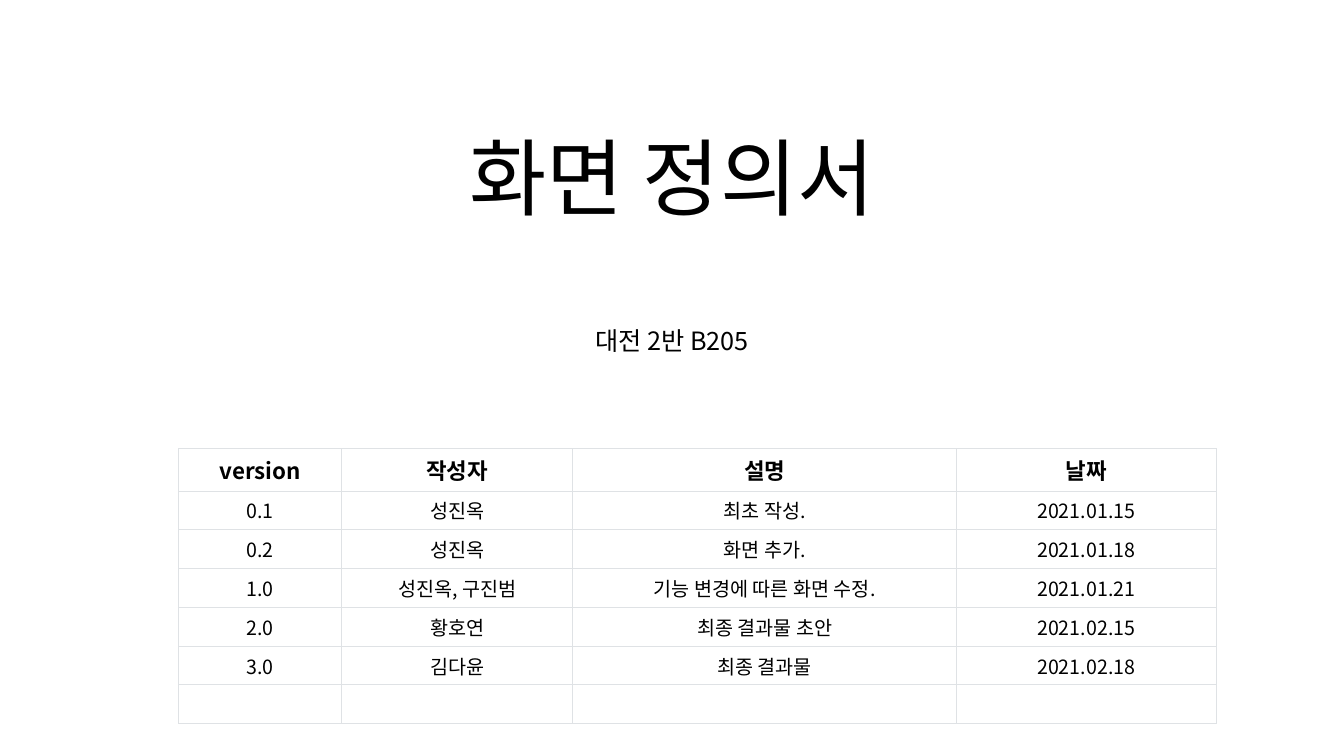
from dataclasses import dataclass

from lxml import etree
from pptx import Presentation
from pptx.dml.color import RGBColor
from pptx.enum.text import MSO_ANCHOR, MSO_AUTO_SIZE, PP_ALIGN
from pptx.oxml.ns import qn
from pptx.util import Inches, Pt

CENTER = PP_ALIGN.CENTER
BOTTOM, MIDDLE = MSO_ANCHOR.BOTTOM, MSO_ANCHOR.MIDDLE
NO_AUTOFIT = MSO_AUTO_SIZE.NONE

TITLE = "화면 정의서"
TEAM = "대전 2반 B205"
HISTORY = [
    ("version", "작성자", "설명", "날짜"),
    ("0.1", "성진옥", "최초 작성.", "2021.01.15"),
    ("0.2", "성진옥", "화면 추가.", "2021.01.18"),
    ("1.0", "성진옥, 구진범", "기능 변경에 따른 화면 수정.", "2021.01.21"),
    ("2.0", "황호연", "최종 결과물 초안", "2021.02.15"),
    ("3.0", "김다윤", "최종 결과물", "2021.02.18"),
    ("", "", "", ""),
]


@dataclass(frozen=True)
class Theme:
    font: str = "Noto Sans CJK KR"
    ink: str = "000000"
    paper: str = "FFFFFF"
    rule: str = "DFE2E5"
    rule_width: float = 0.6
    title_size: int = 60
    team_size: int = 18
    header_size: int = 16
    body_size: int = 14


THEME = Theme()
SLIDE_WIDTH, SLIDE_HEIGHT = 13.33, 7.5
HEADING_WIDTH, HEADING_HEIGHT = 10, 1.08
TITLE_TOP, TEAM_TOP = 1.23, 2.5
TABLE_LEFT, TABLE_TOP = 1.77, 4.45
COLUMN_WIDTHS = (1.62, 2.29, 3.81, 2.57)
HEADER_HEIGHT, ROW_HEIGHT = 0.42, 0.385


def style_paragraph(para, size, bold=False):
    para.alignment = CENTER
    font = para.font
    font.name, font.size, font.bold = THEME.font, Pt(size), bold
    font.color.rgb = RGBColor.from_string(THEME.ink)
    # Hangul takes the East Asian typeface, which follows the Latin one
    latin = para._p.pPr.find(qn("a:defRPr")).find(qn("a:latin"))
    east_asian = etree.Element(qn("a:ea"), typeface=THEME.font)
    latin.addnext(east_asian)


def place_heading(box, text, top, size):
    box.left = Inches((SLIDE_WIDTH - HEADING_WIDTH) / 2)
    box.top = Inches(top)
    box.width, box.height = Inches(HEADING_WIDTH), Inches(HEADING_HEIGHT)
    frame = box.text_frame
    frame.text = text
    frame.word_wrap = True
    frame.auto_size = NO_AUTOFIT
    frame.vertical_anchor = BOTTOM
    para = frame.paragraphs[0]
    para.line_spacing = 0.9
    para.space_before = Pt(0)
    style_paragraph(para, size)


def draw_borders(cell):
    properties = cell._tc.get_or_add_tcPr()
    for side in ("a:lnL", "a:lnR", "a:lnT", "a:lnB"):
        line = etree.SubElement(properties, qn(side), w=str(Pt(THEME.rule_width)))
        fill = etree.SubElement(line, qn("a:solidFill"))
        etree.SubElement(fill, qn("a:srgbClr"), val=THEME.rule)


def add_history(page):
    heights = [HEADER_HEIGHT] + [ROW_HEIGHT] * (len(HISTORY) - 1)
    table = page.shapes.add_table(
        len(HISTORY), len(COLUMN_WIDTHS), Inches(TABLE_LEFT), Inches(TABLE_TOP),
        Inches(sum(COLUMN_WIDTHS)), Inches(sum(heights))).table
    table.horz_banding = False
    for column, width in zip(table.columns, COLUMN_WIDTHS):
        column.width = Inches(width)
    for index, (row, height, values) in enumerate(zip(table.rows, heights, HISTORY)):
        row.height = Inches(height)
        is_header = index == 0
        size = THEME.header_size if is_header else THEME.body_size
        for cell, value in zip(row.cells, values):
            draw_borders(cell)
            cell.fill.solid()
            cell.fill.fore_color.rgb = RGBColor.from_string(THEME.paper)
            cell.vertical_anchor = MIDDLE
            cell.margin_left = cell.margin_right = Inches(0.11)
            cell.margin_top = cell.margin_bottom = Inches(0.05)
            if value:
                cell.text = value
            style_paragraph(cell.text_frame.paragraphs[0], size, is_header)


def main():
    deck = Presentation()
    deck.slide_width, deck.slide_height = Inches(SLIDE_WIDTH), Inches(SLIDE_HEIGHT)
    page = deck.slides.add_slide(deck.slide_layouts[0])
    place_heading(page.shapes.title, TITLE, TITLE_TOP, THEME.title_size)
    place_heading(page.placeholders[1], TEAM, TEAM_TOP, THEME.team_size)
    add_history(page)
    deck.save("out.pptx")


if __name__ == "__main__":
    main()
